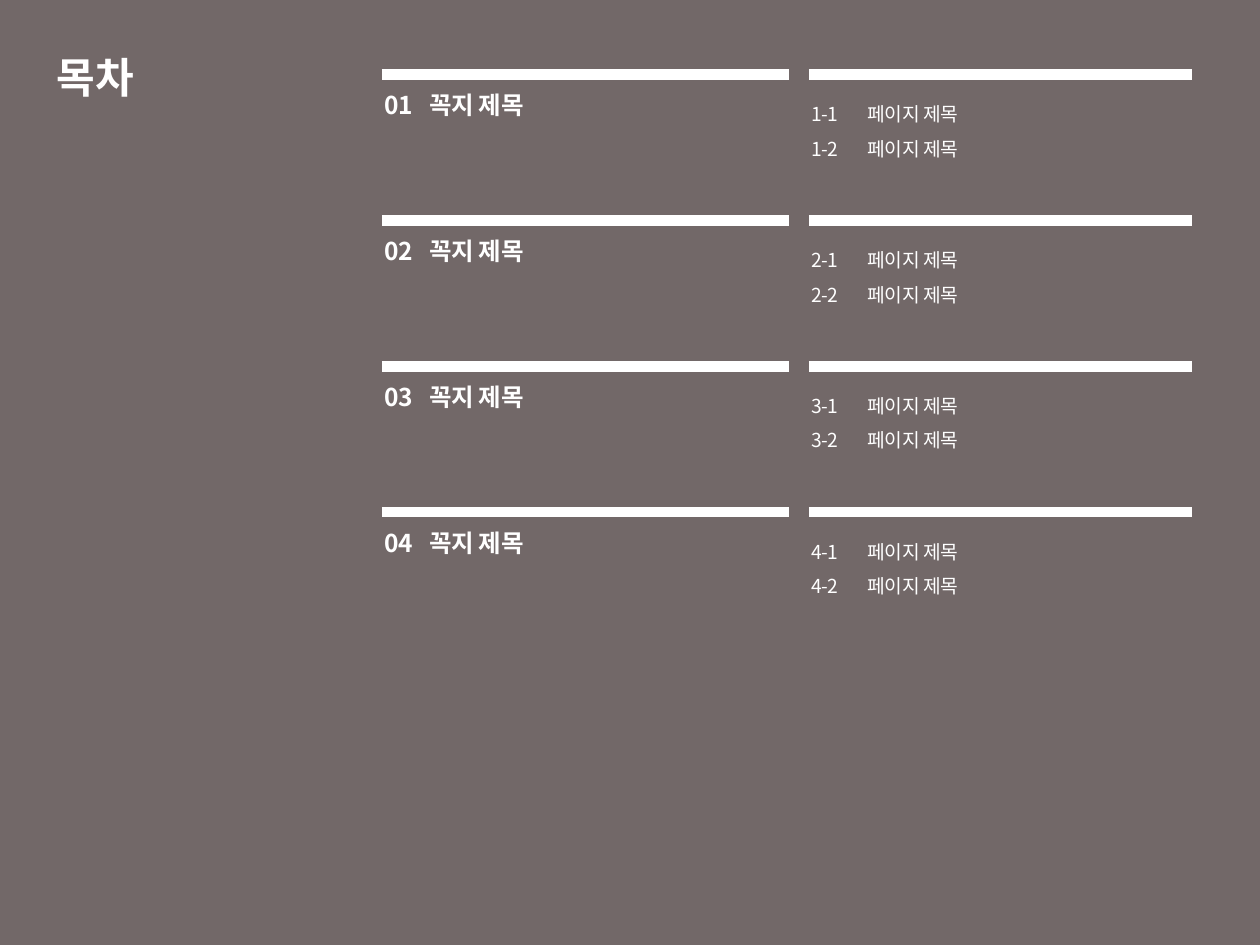
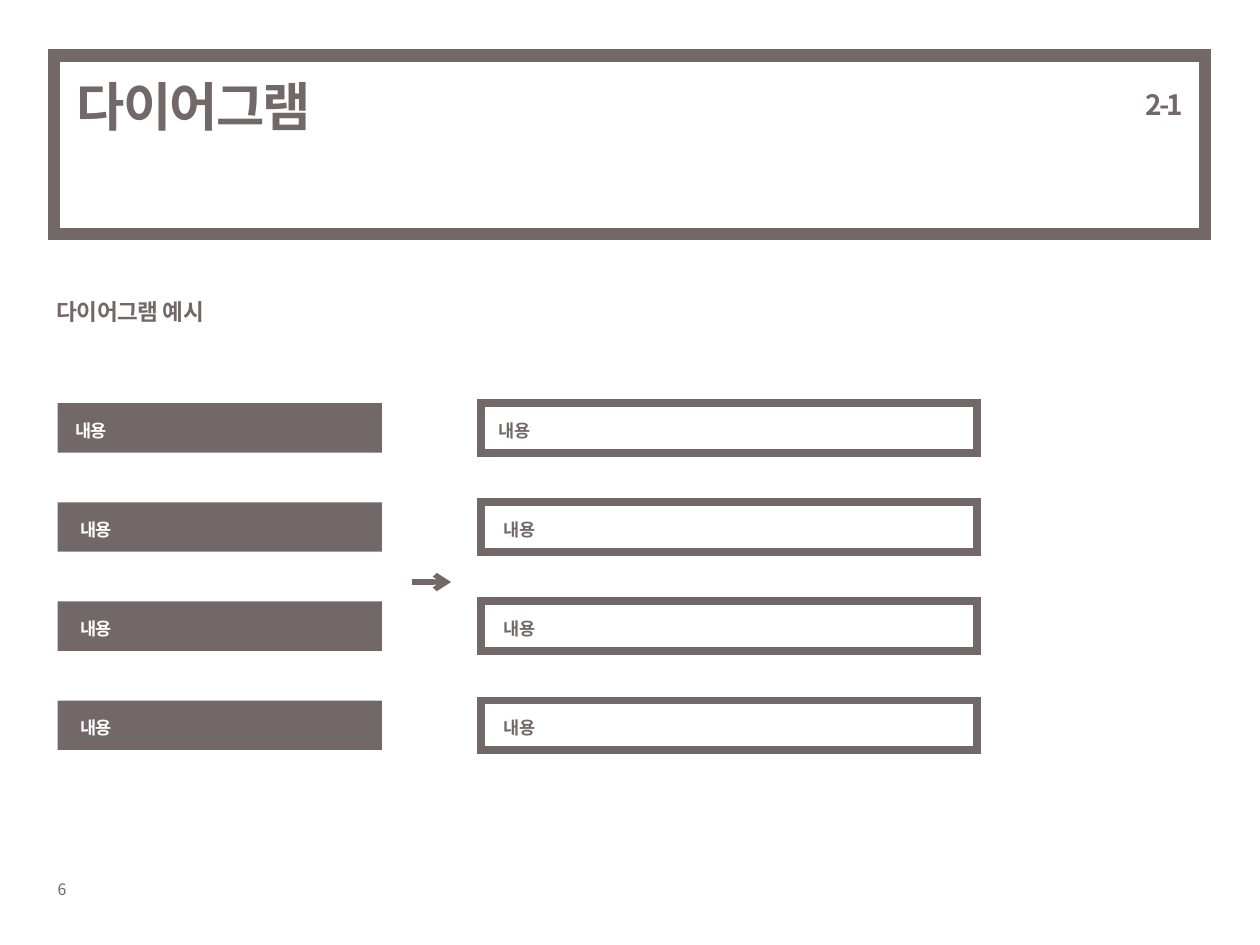
from dataclasses import dataclass

from lxml import etree
from pptx import Presentation
from pptx.dml.color import RGBColor
from pptx.enum.shapes import MSO_CONNECTOR, MSO_SHAPE
from pptx.enum.text import MSO_ANCHOR, MSO_AUTO_SIZE, PP_ALIGN
from pptx.oxml.ns import qn
from pptx.slide import Slide
from pptx.text.text import TextFrame
from pptx.util import Length, Pt

RECTANGLE = MSO_SHAPE.RECTANGLE
STRAIGHT = MSO_CONNECTOR.STRAIGHT
TOP, MIDDLE = MSO_ANCHOR.TOP, MSO_ANCHOR.MIDDLE
LEFT, RIGHT = PP_ALIGN.LEFT, PP_ALIGN.RIGHT
NO_AUTOFIT = MSO_AUTO_SIZE.NONE

FONT = "Noto Sans CJK KR"
COLORS = {"taupe": "726868", "white": "FFFFFF"}
TITLE_ONLY = 5


@dataclass(frozen=True)
class Box:
    left: float
    top: float
    width: float
    height: float

    def lengths(self) -> tuple[Length, ...]:
        return Pt(self.left), Pt(self.top), Pt(self.width), Pt(self.height)


@dataclass(frozen=True)
class TextStyle:
    size: float
    color: str
    bold: bool = True
    tracking: float = 0
    line_spacing: float | Length | None = None
    space_before: float = 0
    align: PP_ALIGN = LEFT
    tab: float = 0


@dataclass(frozen=True)
class Chapter:
    number: int
    title: str
    pages: tuple[str, ...]


@dataclass(frozen=True)
class ContentColumn:
    left: float
    width: float
    text_shift: float
    filled: bool


CONTENTS_TITLE = TextStyle(24, "white")
CHAPTER = TextStyle(14, "white", tracking=-0.2, space_before=2.8, tab=25.7)
PAGE = TextStyle(11, "white", bold=False, tracking=-0.2, line_spacing=1.5, tab=32)
DIAGRAM_TITLE = TextStyle(30, "taupe", tracking=-1)
SUBHEAD = TextStyle(12.9, "taupe", tracking=-0.2, line_spacing=1.3)
SECTION = TextStyle(16, "taupe", tracking=-1.5, line_spacing=Pt(56), align=RIGHT)
FOOTER = TextStyle(9, "taupe", bold=False)

CHAPTERS = [Chapter(n, "꼭지 제목", ("페이지 제목", "페이지 제목")) for n in range(1, 5)]
CONTENT_LABELS = ["내용"] * 4
CONTENT_COLUMNS = [
    ContentColumn(275, 283.5, 3, filled=False),
    ContentColumn(33, 185.3, 2.8, filled=True),
]


def rgb(color: str) -> RGBColor:
    return RGBColor.from_string(COLORS[color])


def write(frame: TextFrame, lines: list[str], style: TextStyle) -> None:
    frame.word_wrap = True
    frame.auto_size = NO_AUTOFIT
    for index, line in enumerate(lines):
        paragraph = frame.add_paragraph() if index else frame.paragraphs[0]
        paragraph.alignment = style.align
        if style.tab:
            tabs = etree.SubElement(paragraph._p.get_or_add_pPr(), qn("a:tabLst"))
            etree.SubElement(tabs, qn("a:tab"), pos=str(Pt(style.tab)), algn="l")
        paragraph.line_spacing = style.line_spacing
        paragraph.space_before = Pt(style.space_before)
        run = paragraph.add_run()
        run.text = line
        run.font.name = FONT
        run.font.size = Pt(style.size)
        run.font.bold = style.bold
        run.font.color.rgb = rgb(style.color)
        properties = run.font._element
        etree.SubElement(properties, qn("a:ea"), typeface=FONT)
        properties.set("spc", str(round(style.tracking * 100)))


def add_text(slide: Slide, box: Box, lines: list[str], style: TextStyle) -> None:
    write(slide.shapes.add_textbox(*box.lengths()).text_frame, lines, style)


def set_title(slide: Slide, box: Box, text: str, style: TextStyle,
              anchor: MSO_ANCHOR = MIDDLE, inset: float = 3.6) -> None:
    title = slide.shapes.title
    title.left, title.top, title.width, title.height = box.lengths()
    title.text_frame.vertical_anchor = anchor
    title.text_frame.margin_top = Pt(inset)
    write(title.text_frame, [text], style)


def add_block(slide: Slide, box: Box) -> None:
    block = slide.shapes.add_shape(RECTANGLE, *box.lengths())
    block.shadow.inherit = False
    block.fill.solid()
    block.fill.fore_color.rgb = rgb("taupe")
    block.line.fill.background()


def add_frame(slide: Slide, box: Box, weight: float) -> None:
    frame = slide.shapes.add_shape(RECTANGLE, *box.lengths())
    frame.shadow.inherit = False
    frame.fill.background()
    frame.line.color.rgb = rgb("taupe")
    frame.line.width = Pt(weight)
    etree.SubElement(frame.line._get_or_add_ln(), qn("a:miter"), lim="800000")


def add_rule(slide: Slide, left: float, right: float, y: float, color: str,
             weight: float, arrow: bool = False) -> None:
    rule = slide.shapes.add_connector(STRAIGHT, Pt(left), Pt(y), Pt(right), Pt(y))
    rule.line.color.rgb = rgb(color)
    rule.line.width = Pt(weight)
    if arrow:
        etree.SubElement(rule.line._get_or_add_ln(), qn("a:tailEnd"), type="arrow")
    etree.SubElement(rule._element.spPr, qn("a:effectLst"))


def build_contents(slide: Slide) -> None:
    slide.background.fill.solid()
    slide.background.fill.fore_color.rgb = rgb("taupe")
    set_title(slide, Box(25.2, 20.9, 226.8, 45.4), "목차", CONTENTS_TITLE)
    for row, chapter in enumerate(CHAPTERS):
        rule_y = 42.5 + row * 83.4
        text_top = rule_y + 5.7
        add_rule(slide, 218.2, 450.7, rule_y, "white", 6)
        add_rule(slide, 462.2, 681.1, rule_y, "white", 6)
        add_text(slide, Box(212.4, text_top, 260.6, 28),
                 [f"{chapter.number:02}\t{chapter.title}"], CHAPTER)
        add_text(slide, Box(456.5, text_top, 260.6, 51),
                 [f"{chapter.number}-{n}\t{page}"
                  for n, page in enumerate(chapter.pages, 1)], PAGE)


def build_diagram(slide: Slide) -> None:
    set_title(slide, Box(36.7, 31.7, 516.2, 90.7), "다이어그램", DIAGRAM_TITLE,
              TOP, 10.6)
    add_frame(slide, Box(31, 31.7, 657.4, 102.2), 7)
    add_text(slide, Box(25.2, 162, 260.6, 28), ["다이어그램 예시"], SUBHEAD)
    add_text(slide, Box(553.7, 9.4, 129.6, 85), ["2-1"], SECTION)
    for column in CONTENT_COLUMNS:
        label_style = TextStyle(10, "white" if column.filled else "taupe",
                                tracking=-0.2, line_spacing=1.5)
        for row, label in enumerate(CONTENT_LABELS):
            top = 230.4 + row * 56.65
            cell = Box(column.left, top, column.width, 28.3)
            if column.filled:
                add_block(slide, cell)
            else:
                add_frame(slide, cell, 4.5)
            shift = column.text_shift + (2.9 if row else 0)
            add_text(slide, Box(column.left + shift, top, 198.7, 28.3),
                     [label], label_style)
    add_rule(slide, 235.4, 257.8, 332.6, "taupe", 3, arrow=True)
    add_text(slide, Box(25.9, 499, 37.4, 18), ["6"], FOOTER)


def main() -> None:
    deck = Presentation()
    deck.slide_width, deck.slide_height = Pt(720), Pt(540)
    for build in (build_contents, build_diagram):
        build(deck.slides.add_slide(deck.slide_layouts[TITLE_ONLY]))
    deck.save("out.pptx")


if __name__ == "__main__":
    main()
